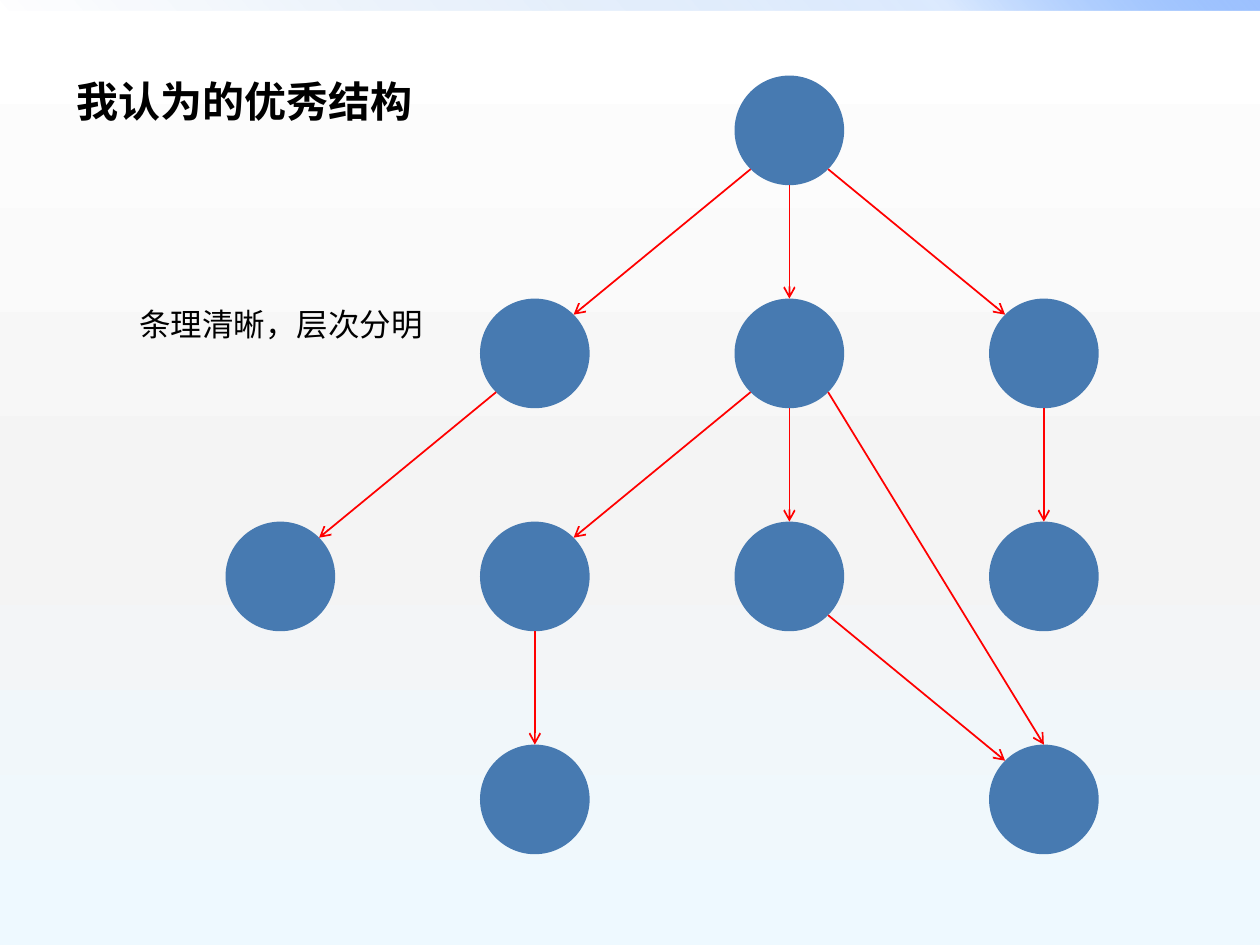
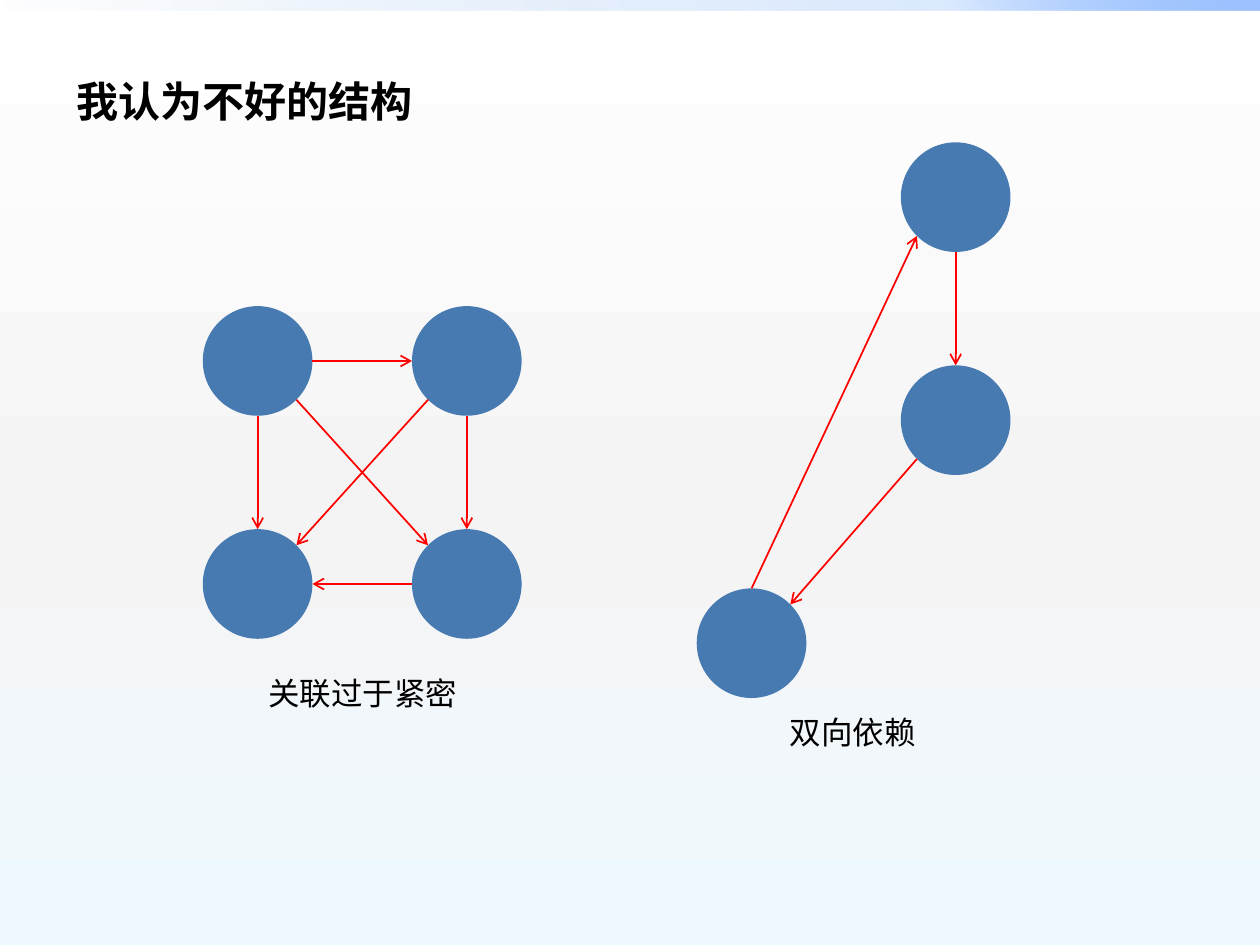
from math import hypot
from pptx import Presentation
from pptx import util as u
from pptx.dml.color import RGBColor
from pptx.enum import shapes, text
from pptx.oxml import ns, parse_xml

BLACK = RGBColor(0x00, 0x00, 0x00)
BLUE = RGBColor(0x47, 0x7A, 0xB1)
RED = RGBColor(0xFF, 0x00, 0x00)
WHITE = RGBColor(0xFF, 0xFF, 0xFF)
GREY = RGBColor(0xF4, 0xF4, 0xF4)
ICE = RGBColor(0xEE, 0xF9, 0xFF)
DEEP = RGBColor(0x00, 0x58, 0xB7)
BRIGHT = RGBColor(0x4F, 0x95, 0xFF)
SKY = RGBColor(0x9E, 0xC2, 0xFF)

FONT = "Cambria"
DIAMETER = 0.87
ROW_STEP = 1.77
SITES = {"N": (0, -1), "S": (0, 1), "W": (-1, 0), "E": (1, 0),
         "NW": (-1, -1), "NE": (1, -1), "SW": (-1, 1), "SE": (1, 1)}


class Deck:
    """Hold the shared style and the current slide of a node diagram deck."""

    def __init__(self):
        self.prs = Presentation()
        self.prs.slide_width = u.Inches(10)
        self.prs.slide_height = u.Inches(7.5)

    def gradient(self, fill, element, angle, stops):
        fill.gradient()
        fill.gradient_angle = angle
        gs_list = element.find(".//" + ns.qn("a:gsLst"))
        for gs in list(gs_list):
            gs_list.remove(gs)
        for pos, color, alpha in stops:
            gs_list.append(parse_xml(
                f'<a:gs {ns.nsdecls("a")} pos="{pos * 1000}"><a:srgbClr val="{color}">'
                f'<a:alpha val="{alpha * 1000}"/></a:srgbClr></a:gs>'))

    def slide(self, title):
        self.s = self.prs.slides.add_slide(self.prs.slide_layouts[6])
        self.gradient(self.s.background.fill, self.s.element, 270,
                      [(0, WHITE, 100), (55, GREY, 100), (100, ICE, 100)])
        band = self.shape(shapes.MSO_SHAPE.RECTANGLE, 0, 0, 10, 0.08)
        self.gradient(band.fill, band.element, 45,
                      [(0, DEEP, 0), (75, BRIGHT, 20), (100, SKY, 100)])
        self.text(title, 0.51, 0.55, 5.35, 0.5, 24, bold=True)

    def shape(self, kind, x, y, w, h):
        sp = self.s.shapes.add_shape(kind, *map(u.Inches, (x, y, w, h)))
        sp.shadow.inherit = False
        sp.line.fill.background()
        return sp

    def text(self, words, x, y, w, h, size, bold=False, align=text.PP_ALIGN.LEFT):
        tf = self.s.shapes.add_textbox(*map(u.Inches, (x, y, w, h))).text_frame
        tf.word_wrap = True
        tf.auto_size = text.MSO_AUTO_SIZE.SHAPE_TO_FIT_TEXT
        tf.text = words
        p = tf.paragraphs[0]
        p.alignment = align
        font = p.runs[0].font
        font.name, font.size, font.bold = FONT, u.Pt(size), bold
        font.color.rgb = BLACK

    def caption(self, words, x, y):
        self.text(words, x, y, 2.76, 0.4, 18, align=text.PP_ALIGN.CENTER)

    def node(self, x, y):
        sp = self.shape(shapes.MSO_SHAPE.OVAL, x, y, DIAMETER, DIAMETER)
        sp.fill.solid()
        sp.fill.fore_color.rgb = BLUE
        return x, y

    def site(self, node, side):
        dx, dy = SITES[side]
        radius = DIAMETER / 2
        reach = radius / hypot(dx, dy)
        return [u.Inches(node[0] + radius + dx * reach),
                u.Inches(node[1] + radius + dy * reach)]

    def arrow(self, start, start_side, end, end_side):
        cxn = self.s.shapes.add_connector(
            shapes.MSO_CONNECTOR.STRAIGHT,
            *self.site(start, start_side), *self.site(end, end_side))
        cxn.line.color.rgb = RED
        cxn.line.width = u.Pt(1)
        cxn.line._get_or_add_ln().append(
            parse_xml(f'<a:tailEnd {ns.nsdecls("a")} type="arrow"/>'))
        cxn.element.spPr.append(parse_xml(f'<a:effectLst {ns.nsdecls("a")}/>'))

    def diagram(self, nodes, links):
        placed = {name: self.node(x, y) for name, (x, y) in nodes.items()}
        for start, start_side, end, end_side in links:
            self.arrow(placed[start], start_side, placed[end], end_side)


def grid(cells, left, top, column_step):
    return {(col, row): (left + col * column_step, top + row * ROW_STEP)
            for col, row in cells}


deck = Deck()

deck.slide("我认为的优秀结构")
deck.caption("条理清晰，层次分明", 0.85, 2.37)
tree = [(2, 0), (1, 1), (2, 1), (3, 1), (0, 2), (1, 2), (2, 2), (3, 2), (1, 3), (3, 3)]
deck.diagram(grid(tree, 1.79, 0.6, 2.02), [
    ((2, 0), "S", (2, 1), "N"),
    ((2, 0), "SW", (1, 1), "NE"),
    ((2, 0), "SE", (3, 1), "NW"),
    ((1, 1), "SW", (0, 2), "NE"),
    ((2, 1), "SW", (1, 2), "NE"),
    ((2, 1), "S", (2, 2), "N"),
    ((3, 1), "S", (3, 2), "N"),
    ((2, 1), "SE", (3, 3), "N"),
    ((1, 2), "S", (1, 3), "N"),
    ((2, 2), "SE", (3, 3), "NW"),
])

deck.slide("我认为不好的结构")
deck.diagram(grid([(1, 0), (1, 1), (0, 2)], 5.53, 1.13, 1.62), [
    ((1, 0), "S", (1, 1), "N"),
    ((0, 2), "N", (1, 0), "SW"),
    ((1, 1), "SW", (0, 2), "NE"),
])
deck.diagram(grid([(0, 0), (1, 0), (0, 1), (1, 1)], 1.61, 2.43, 1.66), [
    ((0, 0), "S", (0, 1), "N"),
    ((0, 0), "SE", (1, 1), "NW"),
    ((1, 0), "SW", (0, 1), "NE"),
    ((1, 0), "S", (1, 1), "N"),
    ((0, 0), "E", (1, 0), "W"),
    ((1, 1), "W", (0, 1), "E"),
])
deck.caption("关联过于紧密", 1.5, 5.3)
deck.caption("双向依赖", 5.39, 5.61)

deck.prs.save("out.pptx")
